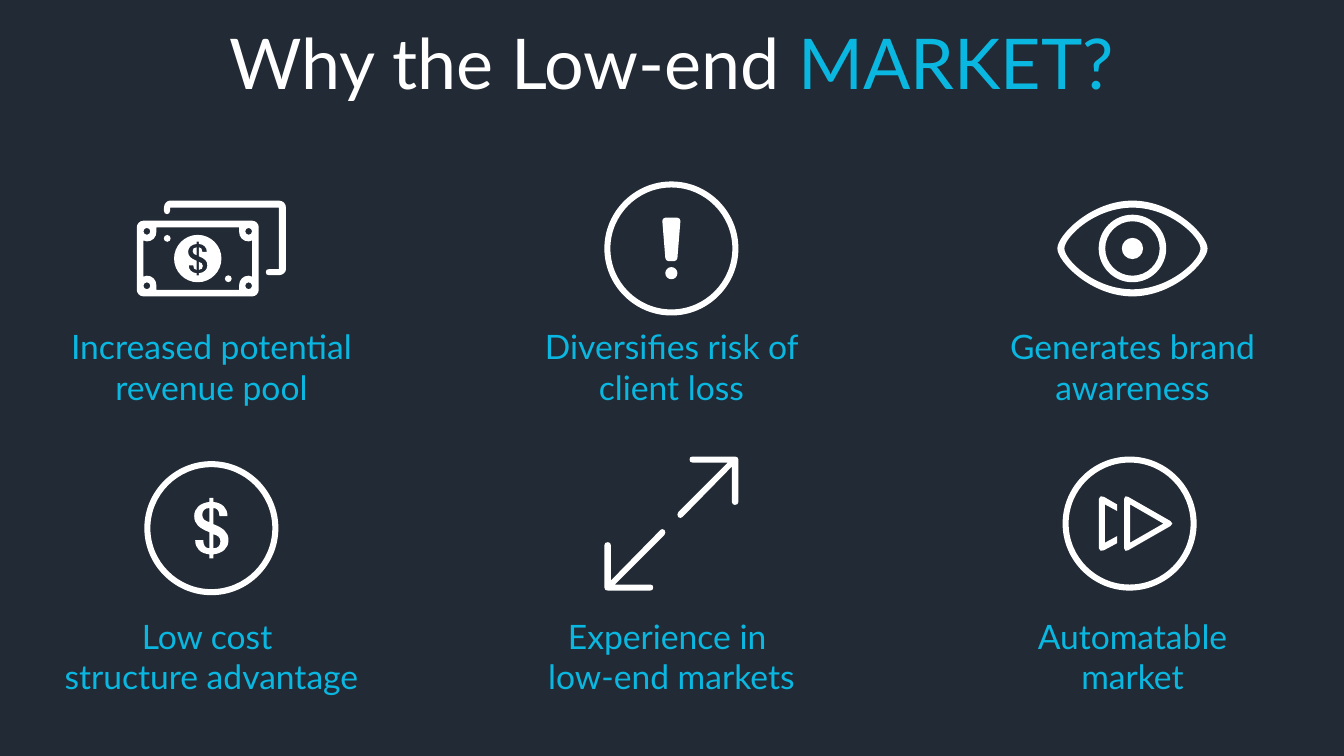
"""Build the slide on reasons for serving the low-end market."""
from dataclasses import dataclass

from pptx import Presentation
from pptx.dml.color import RGBColor
from pptx.enum.text import MSO_AUTO_SIZE, PP_ALIGN
from pptx.oxml.ns import qn
from pptx.util import Pt

NIGHT = RGBColor(0x22, 0x2A, 0x35)
WHITE = RGBColor(0xFF, 0xFF, 0xFF)
CYAN = RGBColor(0x0A, 0xB7, 0xE0)
FONT = "Lato"
GRID = 0.72
Point = tuple[float, float]
Segment = tuple[float, ...]
Contour = list[Segment]


@dataclass(frozen=True)
class Reason:
    """An icon on a grid around its centre, with its caption."""
    caption: str
    icon: list[Contour]
    shift: Point = (0, 0)
    width: float = 216.7


def place(contour: Contour, x: float, y: float, scale: float = 1) -> Contour:
    """Scale a contour and move it."""
    return [tuple(value * scale + (x, y)[i % 2] for i, value in enumerate(segment))
            for segment in contour]


def turned(contour: Contour) -> Contour:
    """Rotate a contour by half a turn."""
    return place(contour, 0, 0, -1)


def fourfold(quarter: list[Point]) -> Contour:
    """Mirror a curved upper-left quarter into a whole contour."""
    contour: Contour = []
    for sx, sy in ((1, 1), (-1, 1), (-1, -1), (1, -1)):
        points = [(sx * x, sy * y) for x, y in quarter][::sx * sy]
        if not contour or contour[-1][-2:] != points[0]:
            contour.append(points[0])
        for i in range(1, len(points), 3):
            contour.append(points[i] + points[i + 1] + points[i + 2])
    return contour


def circle(radius: float, x: float = 0, y: float = 0) -> Contour:
    """Return a circle made of four curves."""
    handle = 0.55 * radius
    return place(fourfold([(-radius, 0), (-radius, -handle),
                           (-handle, -radius), (0, -radius)]), x, y)


DOLLAR_HALF = [
    (2, -4), (2, -20), (6, -20, 8, -17, 8, -12), (16, -12),
    (16, -20, 11, -25, 2, -26), (2, -30), (-2, -30), (-2, -26),
    (-11, -25, -17, -20, -17, -12), (-17, -4, -12, 0, -2, 4),
]
DOLLAR_BOWL = [(-2, -6), (-6, -7, -9, -9, -9, -13), (-9, -17, -7, -20, -2, -20)]
DOLLAR = [DOLLAR_HALF + turned(DOLLAR_HALF)[1:], DOLLAR_BOWL, turned(DOLLAR_BOWL)]

REAR_NOTE = [
    (67, -47.5), (-41, -47.5), (-44, -47.5, -47, -44.5, -47, -40.5), (-47, -37.5),
    (-47, -35.5, -46, -34, -44, -34), (-42, -34, -41, -35.5, -41, -37.5),
    (-41, -40.5), (67, -40.5), (67, 20.5), (57, 20.5),
    (55, 20.5, 54, 21.5, 54, 23.5), (54, 25.5, 55, 26.5, 57, 26.5), (67, 26.5),
    (71, 26.5, 74, 23.5, 74, 20.5), (74, -40.5), (74, -44.5, 71, -47.5, 67, -47.5),
]
NOTE_EDGE = [(-60.5, -31), (-60.5, -34.5), (-57.5, -37.5), (-54, -37.5)]
NOTE_FIELD = [
    (-54, -18), (-53, -17), (-52, -17), (-50.5, -17), (-45, -17), (-41, -21),
    (-41, -27), (-41, -28), (-41, -29), (-41, -31),
]
FRONT_NOTE = [
    fourfold(NOTE_EDGE), fourfold(NOTE_FIELD), circle(23.5),
    *[circle(3.4, x, y) for x in (-50.5, 50.5) for y in (-27, 27)],
    *[circle(3.4, side * 30.3, side * 20) for side in (-1, 1)],
    *[place(contour, 0, 0, 0.56) for contour in DOLLAR],
]
BANKNOTES = [REAR_NOTE, *[place(contour, -13.5, 10) for contour in FRONT_NOTE]]

RING = [circle(66.5), circle(60.5)]
EXCLAMATION = [
    (-6, -30.5), (-7.5, -30.5, -9, -29, -9, -27.5), (-6, 9.5),
    (-6, 11, -4.5, 12.5, -3, 12.5), (3, 12.5), (4.5, 12.5, 6, 11, 6, 9.5),
    (9, -27.5), (9, -29, 7.5, -30.5, 6, -30.5),
]
EYE = [
    fourfold([(-74.5, 0), (-74.5, -13), (-41, -47.5), (0, -47.5)]),
    fourfold([(-67.5, 0), (-67.5, -11), (-38, -40.5), (0, -40.5)]),
    circle(33.5), circle(27), circle(10.5),
]
ARROW = [
    (63, -66.5), (21, -66.5), (19, -66.5, 18, -65.5, 18, -63.5),
    (18, -61.5, 19, -60.5, 21, -60.5), (56, -60.5), (7, -11.5),
    (6, -10.5, 6, -10, 6, -9), (6, -7, 7, -5.5, 9, -5.5),
    (10, -5.5, 10.5, -6, 11, -6.5), (60, -56.5), (60, -21.5),
    (60, -19.5, 61.5, -18.5, 63, -18.5), (65, -18.5, 66.5, -19.5, 66.5, -21.5),
    (66.5, -63.5), (66.5, -65.5, 65, -66.5, 63, -66.5),
]
PLAY_EDGE = [
    (-5.5, -24.5), (-5.5, 24.5), (-5.5, 26.5, -3, 28.5, -1.5, 26.5), (40.5, 2.5),
    (43, 1.5, 43, -1.5, 40.5, -2.5), (-1.5, -26.5), (-3, -28.5, -5.5, -26.5, -5.5, -24.5),
]
PLAY_FIELD = [(0.5, -19), (0.5, 19), (33.5, 0)]
PLAY_TRAIL = [
    (-25.5, -26.5), (-27.5, -28.5, -30.5, -26.5, -30.5, -24.5), (-30.5, 24.5),
    (-30.5, 26.5, -27.5, 28.5, -25.5, 26.5), (-12.5, 19.5), (-12.5, 12.5),
    (-24.5, 19), (-24.5, -19), (-12.5, -12.5), (-12.5, -19),
]
REASONS = [
    Reason("Increased potential \nrevenue pool", BANKNOTES),
    Reason("Diversifies risk of client loss", [*RING, EXCLAMATION, circle(6, 0, 24.5)]),
    Reason("Generates brand awareness", EYE),
    Reason("Low cost \nstructure advantage", RING + DOLLAR, (0, 3.3), 235.4),
    Reason("Experience in \nlow-end markets", [ARROW, turned(ARROW)]),
    Reason("Automatable market", [*RING, PLAY_EDGE, PLAY_FIELD, PLAY_TRAIL], (-2, 0)),
]
COLUMNS = (151, 479.6, 808.9)
ICON_ROWS = (177.5, 374)
CAPTION_ROWS = (229.4, 436.3)


def draw_icon(slide, contours: list[Contour], x: float, y: float) -> None:
    """Draw an icon as one white outline with curves."""
    builder = None
    for contour in contours:
        points = [(Pt(x + px * GRID), Pt(y + py * GRID))
                  for segment in contour
                  for px, py in zip(segment[::2], segment[1::2])]
        if builder is None:
            builder = slide.shapes.build_freeform(*points[0])
        else:
            builder.move_to(*points[0])
        builder.add_line_segments(points[1:], close=True)
    icon = builder.convert_to_shape()
    icon.shadow.inherit = False
    icon.fill.solid()
    icon.fill.fore_color.rgb = WHITE
    icon.line.fill.background()
    outline = next(icon.element.iter(qn("a:path")))
    steps = iter(outline.findall(qn("a:lnTo")))
    for contour in contours:
        for segment in contour[1:]:
            first, *others = [next(steps) for _ in segment[::2]]
            if others:
                first.tag = qn("a:cubicBezTo")
            for step in others:
                first.append(step[0])
                outline.remove(step)


def style_run(run, size: float, color: RGBColor) -> None:
    """Set the font of a run."""
    run.font.name = FONT
    run.font.size = Pt(size)
    run.font.color.rgb = color


def add_text(slide, text: str, box: tuple[float, float, float, float],
             size: float, color: RGBColor):
    """Add a centred text box and return its text frame."""
    frame = slide.shapes.add_textbox(*map(Pt, box)).text_frame
    frame.word_wrap = True
    frame.auto_size = MSO_AUTO_SIZE.SHAPE_TO_FIT_TEXT
    frame.text = text
    for paragraph in frame.paragraphs:
        paragraph.alignment = PP_ALIGN.CENTER
        for run in paragraph.runs:
            style_run(run, size, color)
    return frame


def main() -> None:
    """Build and save the slide."""
    deck = Presentation()
    deck.slide_width, deck.slide_height = Pt(960), Pt(540)
    slide = deck.slides.add_slide(deck.slide_layouts[6])
    slide.background.fill.solid()
    slide.background.fill.fore_color.rgb = NIGHT
    title = add_text(slide, "Why the Low-end", (117.4, 10.1, 725, 67.7), 50, WHITE)
    market = title.paragraphs[0].add_run()
    market.text = " MARKET?"
    style_run(market, 50, CYAN)
    for index, reason in enumerate(REASONS):
        row, column = divmod(index, 3)
        center = COLUMNS[column]
        draw_icon(slide, reason.icon, center + reason.shift[0],
                  ICON_ROWS[row] + reason.shift[1])
        add_text(slide, reason.caption,
                 (center - reason.width / 2, CAPTION_ROWS[row], reason.width, 65.4),
                 24, CYAN)
    deck.save("out.pptx")


if __name__ == "__main__":
    main()
